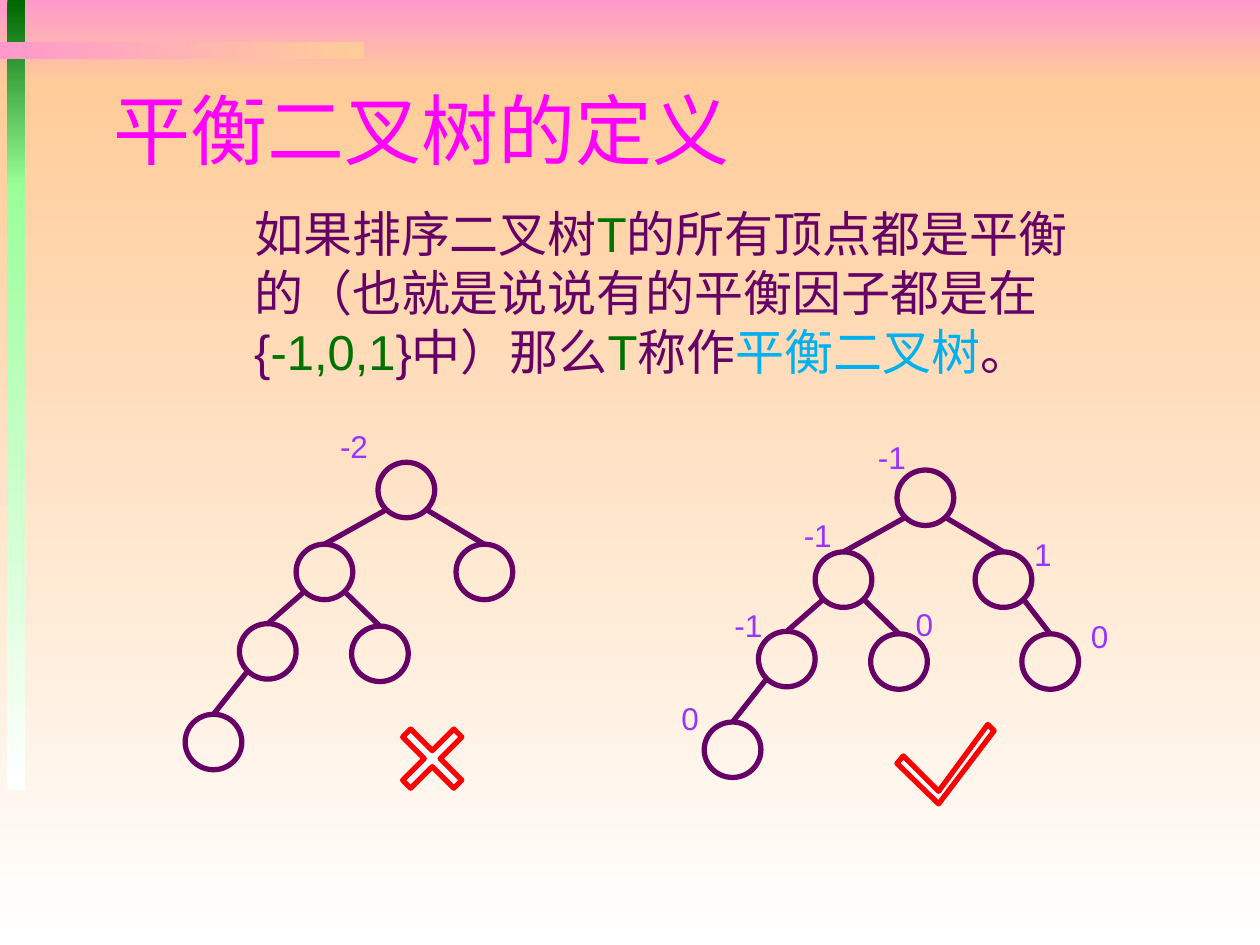
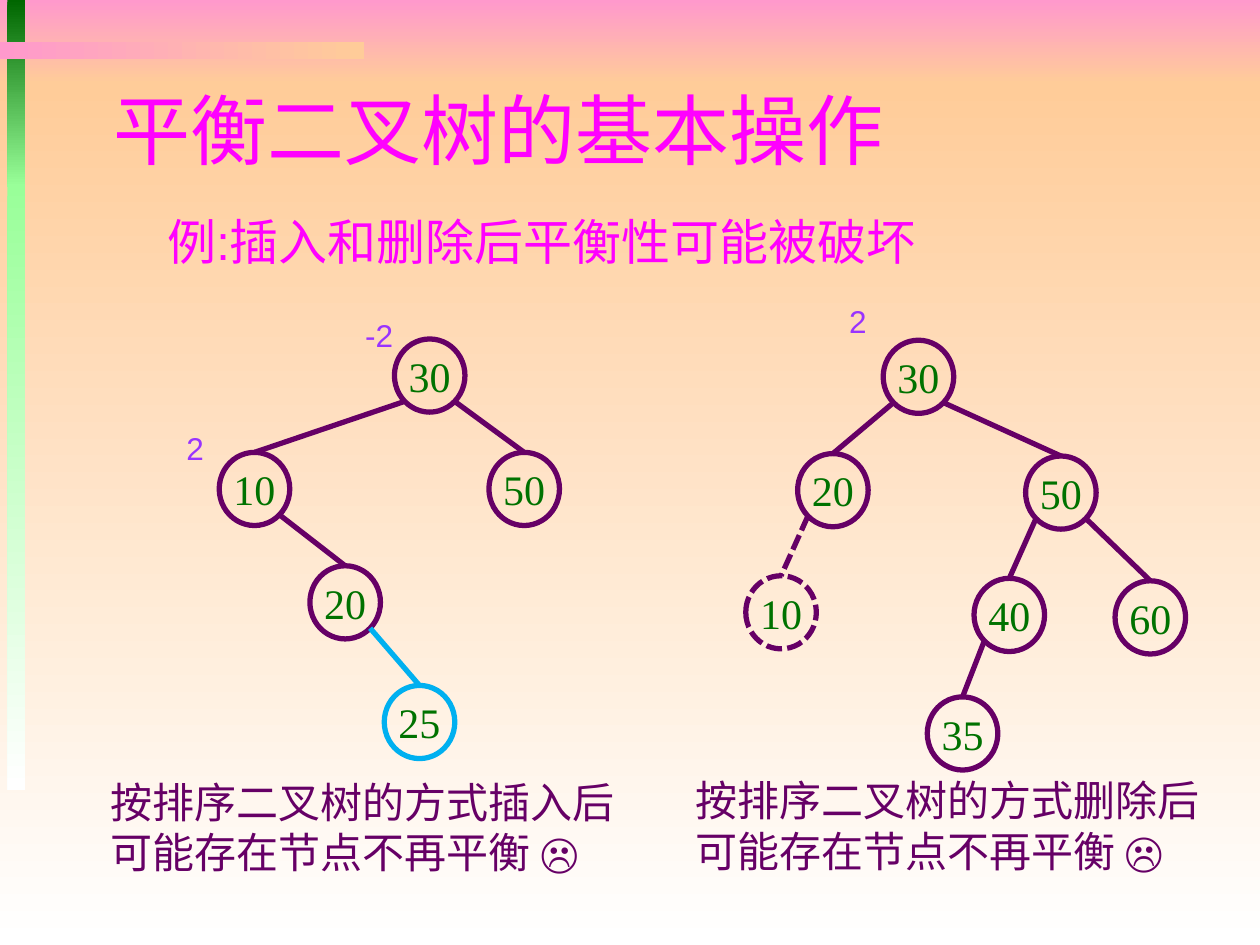
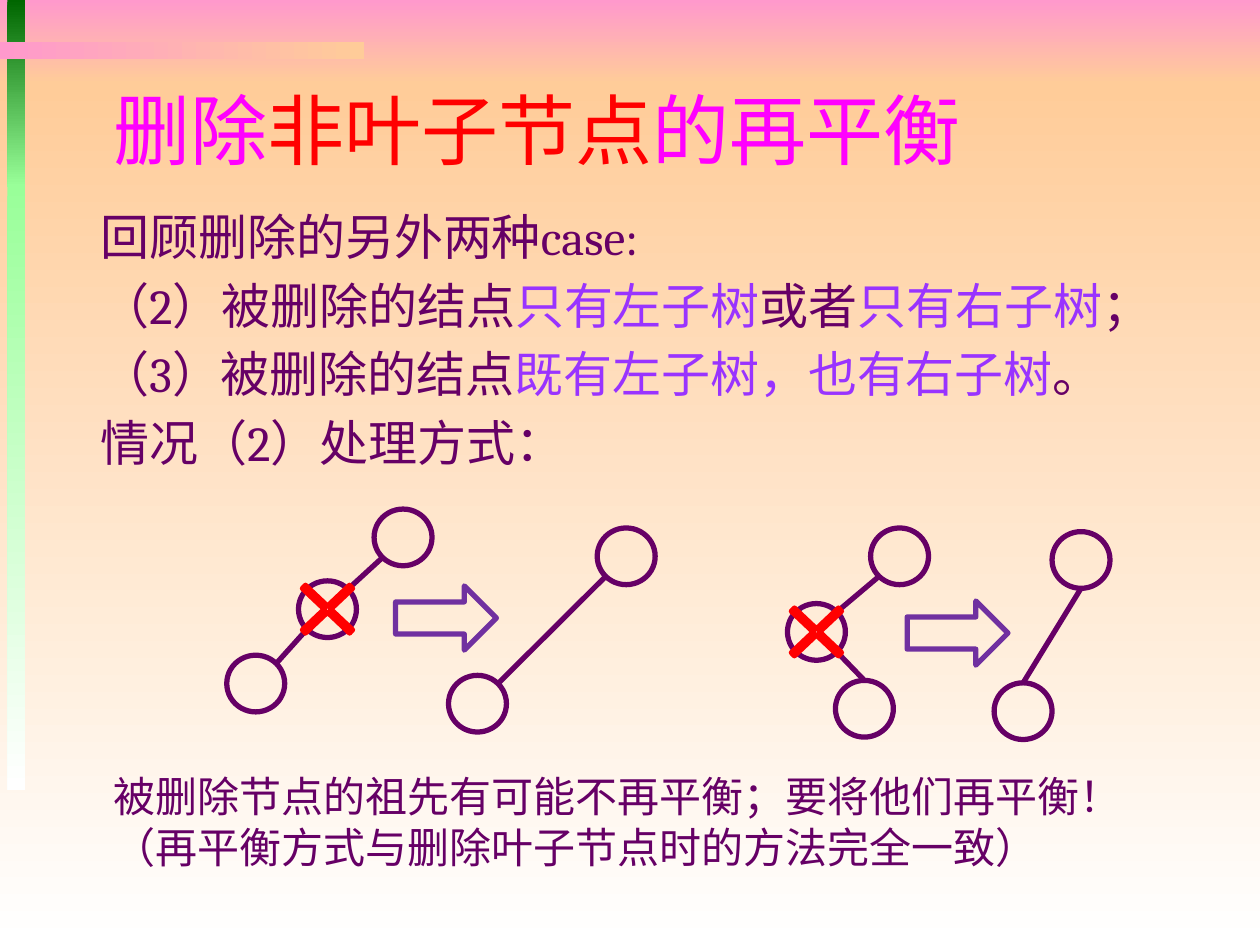
from dataclasses import dataclass

from lxml import etree
from pptx import Presentation
from pptx.dml.color import RGBColor
from pptx.enum.dml import MSO_LINE
from pptx.enum.shapes import MSO_CONNECTOR, MSO_SHAPE
from pptx.enum.text import MSO_ANCHOR, MSO_AUTO_SIZE, PP_ALIGN
from pptx.oxml.ns import qn
from pptx.util import Pt

RECT, OVAL = MSO_SHAPE.RECTANGLE, MSO_SHAPE.OVAL
TIMES, ARROW = MSO_SHAPE.MATH_MULTIPLY, MSO_SHAPE.RIGHT_ARROW
STRAIGHT, DASH = MSO_CONNECTOR.STRAIGHT, MSO_LINE.SQUARE_DOT
MIDDLE, LEFT, CENTER = MSO_ANCHOR.MIDDLE, PP_ALIGN.LEFT, PP_ALIGN.CENTER
GROW, FIXED = MSO_AUTO_SIZE.SHAPE_TO_FIT_TEXT, MSO_AUTO_SIZE.NONE
DIAG = 0.5 ** 0.5 / 2  # share of a circle's size from centre to its 45° point


@dataclass(frozen=True)
class Theme:
    plum: str = "660066"
    pink: str = "FF00FF"
    green: str = "007200"
    violet: str = "9933FF"
    purple: str = "7030A0"
    sky: str = "00B0F0"
    red: str = "FF0000"
    white: str = "FFFFFF"
    rose: str = "FF99CC"
    peach: str = "FFCC99"
    forest: str = "006600"
    mint: str = "99FF99"
    head: int = 44
    body: int = 28
    note: int = 24
    mark: int = 18
    stroke: int = 3
    head_font: str = "Roboto Condensed"
    body_font: str = "Arial"
    case_font: str = "Cambria"
    node_font: str = "Times New Roman"


T = Theme()
# left, top, width, height, first colour, last colour, angle
BANDS = [
    (0, 0, 720, 48, T.rose, T.peach, 270),
    (0, 48, 720, 492, T.peach, T.white, 270),
    (4.3, 0, 10.1, 106.6, T.forest, T.mint, 270),
    (4.3, 105.1, 10.1, 346.3, T.mint, T.white, 270),
    (0, 23.8, 208.1, 10.1, T.rose, T.peach, 0),
]


# Basic helpers
def rgb(tone):
    return RGBColor.from_string(tone)


def pts(*nums):
    return [Pt(num) for num in nums]


def apply(item, form):
    for name, value in form.items():
        setattr(item, name, value)


def stroke(line, tone, dash=None):
    line.color.rgb = rgb(tone)
    apply(line, {"width": Pt(T.stroke), "dash_style": dash})


def paint(shape, tone, fill=None, dash=None):
    shape.shadow.inherit = False
    if fill:
        shape.fill.solid()
        shape.fill.fore_color.rgb = rgb(fill)
    else:
        shape.fill.background()
    stroke(shape.line, tone, dash)


# Text: each paragraph is a list of (text, colour) runs
def write(frame, paras, font, size, align=LEFT, before=0):
    for num, parts in enumerate(paras):
        para = frame.add_paragraph() if num else frame.paragraphs[0]
        apply(para, {"alignment": align, "space_before": Pt(before)})
        for text, tone in parts:
            for row, piece in enumerate(text.split("\n")):
                if row:
                    para.add_line_break()
                run = para.add_run()
                run.text = piece
                apply(run.font, {"name": font, "size": Pt(size)})
                run.font.color.rgb = rgb(tone)


def title(slide, *parts):
    head = slide.shapes.title
    apply(head, dict(zip(("left", "top", "width", "height"),
                         pts(57.6, 41, 612, 64.8))))
    apply(head.text_frame, {"vertical_anchor": MIDDLE, "auto_size": FIXED})
    write(head.text_frame, [parts], T.head_font, T.head)


def words(slide, box, paras, size, font=T.body_font, before=0,
          wrap=True, fit=GROW):
    frame = slide.shapes.add_textbox(*pts(*box)).text_frame
    apply(frame, {"word_wrap": wrap, "auto_size": fit})
    write(frame, paras, font, size, before=before)


def body(slide, box, paras, font=T.body_font):
    words(slide, box, paras, T.body, font, before=5.6, fit=FIXED)


def note(slide, box, *lines):
    words(slide, box, [[(line, T.plum)] for line in lines], T.note, wrap=False)


def marks(slide, items):
    for text, x, y in items:
        words(slide, (x, y, 32.4, 28.8), [[(text, T.violet)]], T.mark)


# Trees
def circle(slide, x, y, size, text="", tone=T.plum, dash=None):
    node = slide.shapes.add_shape(OVAL, *pts(x, y, *size))
    paint(node, tone, dash=dash)
    if text:
        frame = node.text_frame
        sides = ("left", "top", "right", "bottom")
        apply(frame, {f"margin_{side}": 0 for side in sides})
        apply(frame, {"vertical_anchor": MIDDLE, "word_wrap": True})
        write(frame, [[(text, T.green)]], T.node_font, T.note, CENTER)
    return node


def spot(node, across, down):
    """Point at a share of the node's size away from its centre."""
    return (int(node.left + node.width * (0.5 + across)),
            int(node.top + node.height * (0.5 + down)))


def link(slide, top, low, tone=T.plum, dash=None, kind="top"):
    side = DIAG if low.left > top.left else -DIAG
    start = spot(top, 0, 0.5) if kind == "mid" else spot(top, side, DIAG)
    end = spot(low, -side, -DIAG) if kind == "diag" else spot(low, 0, -0.5)
    line = slide.shapes.add_connector(STRAIGHT, *start, *end)
    stroke(line.line, tone, dash)
    etree.SubElement(line.element.spPr, qn("a:effectLst"))
    if kind != "diag":
        line.end_connect(low, 0)


def tree(slide, size, nodes, shift=(0, 0), show=False):
    """Draw nodes given as name, x, y, parent and an optional look."""
    made = {}
    for name, x, y, parent, *look in nodes:
        look = dict(look[0]) if look else {}
        kind = look.pop("kind", "top")
        made[name] = circle(slide, x + shift[0], y + shift[1], size,
                            name if show else "", **look)
        if parent:
            link(slide, made[parent], made[name], kind=kind, **look)
    return made


# Signs
def cross(slide, box, thick):
    sign = slide.shapes.add_shape(TIMES, *pts(*box))
    sign.adjustments[0] = thick
    paint(sign, T.red, T.white)


def strike(slide, node):
    wide, high = 51.8, 49
    x, y = spot(node, 0, 0)
    cross(slide, (x / Pt(1) - wide / 2, y / Pt(1) - high / 2, wide, high), 0.051)


def tick(slide):
    first, *rest = [pts(*spot) for spot in (
        (512.6, 436.3), (536.4, 459.4), (568.1, 417.6),
        (564.5, 414), (536.4, 452.2), (516.2, 432))]
    pen = slide.shapes.build_freeform(*first)
    pen.add_line_segments(rest, close=True)
    paint(pen.convert_to_shape(), T.red, T.white)


def arrow(slide, x, y):
    paint(slide.shapes.add_shape(ARROW, *pts(x, y, 57.6, 36.7)), T.purple)


# Shared bands, placed at the back of the master
def bands(deck, slide):
    for row, (x, y, wide, high, first, last, angle) in enumerate(BANDS):
        band = slide.shapes.add_shape(RECT, *pts(x, y, wide, high))
        band.shadow.inherit = False
        band.line.fill.background()
        band.fill.gradient()
        band.fill.gradient_angle = angle
        for stop, tone in zip(band.fill.gradient_stops, (first, last)):
            stop.color.rgb = rgb(tone)
        deck.slide_master.shapes.element.insert(2 + row, band.element)


# Slides
def define(slide):
    title(slide, ("平衡二叉树的定义", T.pink))
    body(slide, (138.2, 113, 488.9, 120.2), [[
        ("如果排序二叉树", T.plum), ("T", T.green),
        ("的所有顶点都是平衡的（也就是说说有的平衡因子都是在\n{", T.plum),
        ("-1,0,1", T.green), ("}中）那么", T.plum), ("T", T.green),
        ("称作", T.plum), ("平衡二叉树", T.sky), ("。", T.plum)]])
    size = (32.4, 31.7)
    nodes = [("root", 0, 0, None), ("l", -46.8, 46.8, "root"),
             ("r", 44.6, 46.8, "root"), ("ll", -79.2, 92.2, "l"),
             ("lr", -15.1, 93.6, "l"), ("lll", -110.2, 144, "ll")]
    tree(slide, size, nodes, (216, 264.2))
    tree(slide, size, nodes + [("rr", 71.3, 93.6, "r")], (512.6, 268.6))
    marks(slide, [("-2", 187.2, 240.5), ("0", 382.3, 396), ("-1", 412.6, 342.7),
                  ("0", 516.2, 342), ("0", 616.3, 349.2), ("1", 583.9, 302.4),
                  ("-1", 452.2, 291.6), ("-1", 494.6, 247)])
    cross(slide, (218.9, 405.4, 56.2, 56.2), 0.115)
    tick(slide)


def change(slide):
    title(slide, ("平衡二叉树的基本操作", T.pink))
    body(slide, (88.6, 117.4, 532.1, 64.8),
         [[("例:插入和删除后平衡性可能被破坏", T.pink)]])
    size = (40.3, 41.8)
    # After an insert
    tree(slide, size, [
        ("30", 225.4, 193.7, None), ("10", 125.3, 258.5, "30"),
        ("50", 279.4, 258.5, "30"), ("20", 177.1, 323.3, "10"),
        ("25", 219.6, 391.7, "20", {"tone": T.sky})], show=True)
    # After a delete
    tree(slide, size, [
        ("30", 504.7, 194.4, None), ("20", 455.8, 259.2, "30"),
        ("10", 426.2, 329, "20", {"dash": DASH}), ("50", 586.1, 260.6, "30"),
        ("40", 556.6, 330.5, "50"), ("60", 637.2, 331.9, "50"),
        ("35", 529.9, 398.2, "40")], show=True)
    marks(slide, [("2", 99.4, 241.9), ("-2", 201.6, 177.1), ("2", 478.1, 169.2)])
    for x, y, verb in ((56.2, 439.9, "插入"), (390.2, 439.2, "删除")):
        note(slide, (x, y, 305.3, 65.5),
             f"按排序二叉树的方式{verb}后", "可能存在节点不再平衡 ☹")


def remove(slide):
    title(slide, ("删除", T.pink), ("非叶子节点", T.red), ("的再平衡", T.pink))
    body(slide, (50.4, 114.5, 669.6, 171.4), [
        [("回顾删除的另外两种case:", T.plum)],
        [("（2）被删除的结点", T.plum), ("只有左子树", T.violet),
         ("或者", T.plum), ("只有右子树", T.violet), ("；", T.plum)],
        [("（3）被删除的结点", T.plum), ("既有左子树，也有右子树", T.violet),
         ("。", T.plum)],
        [("情况（2）处理方式：", T.plum)]], T.case_font)
    size = (33.1, 32.4)
    diag = {"kind": "diag"}
    # Only a left subtree, then only a right one
    cases = [
        ([("top", 213.8, 290.9, None), ("mid", 170.6, 331.9, "top", diag),
          ("low", 129.6, 374.4, "mid", diag)],
         [("top", 341.3, 301.7, None), ("low", 256.3, 385.9, "top", diag)],
         (226.1, 334.8)),
        ([("top", 497.5, 301.7, None), ("mid", 450, 344.9, "top", diag),
          ("low", 477.4, 388.8, "mid")],
         [("top", 601.2, 303.8, None),
          ("low", 568.1, 390.2, "top", {"kind": "mid"})],
         (518.4, 343.4)),
    ]
    for old, new, place in cases:
        strike(slide, tree(slide, size, old)["mid"])
        tree(slide, size, new)
        arrow(slide, *place)
    note(slide, (57.6, 437, 596.2, 65.5),
         "被删除节点的祖先有可能不再平衡；要将他们再平衡！\n"
         "（再平衡方式与删除叶子节点时的方法完全一致）")


def main():
    deck = Presentation()
    apply(deck, {"slide_width": Pt(720), "slide_height": Pt(540)})
    for num, build in enumerate((define, change, remove)):
        slide = deck.slides.add_slide(deck.slide_layouts[5])
        if num == 0:
            bands(deck, slide)
        build(slide)
    deck.save("out.pptx")


if __name__ == "__main__":
    main()
